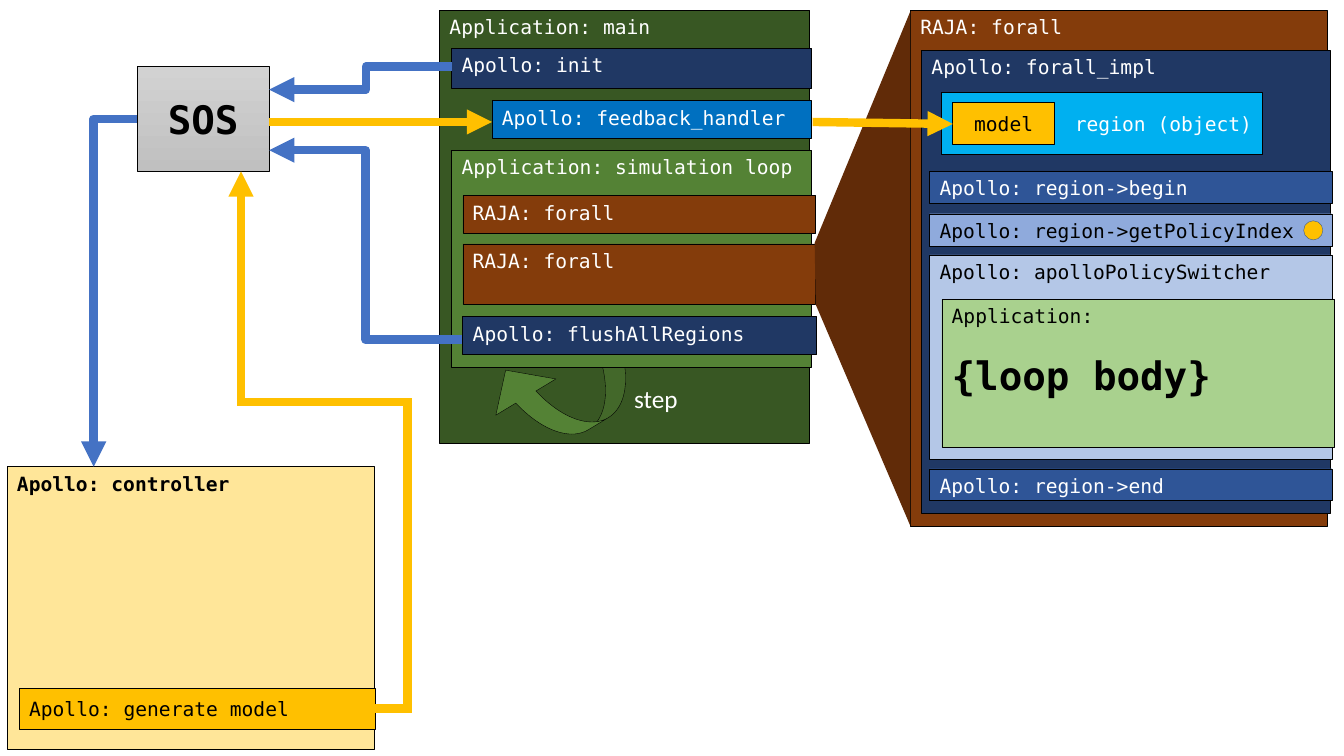
from lxml.etree import SubElement
from pptx import Presentation
from pptx.dml.color import RGBColor
from pptx.enum.shapes import MSO_CONNECTOR, MSO_SHAPE
from pptx.enum.text import MSO_ANCHOR, PP_ALIGN
from pptx.oxml.ns import qn
from pptx.util import Inches, Pt

MONO = "DejaVu Sans Mono"
BLACK, WHITE = "000000", "FFFFFF"
NAVY, BLUE, BROWN, GREEN, GOLD = "203864", "2F5597", "843C0B", "548235", "FFC000"
ARROW_BLUE = "4472C4"


def color(value):
    """Turn a hex string into a colour."""
    return RGBColor.from_string(value)


def add_run(paragraph, text, ink, size=14, bold=False, font=MONO):
    """Append one formatted run."""
    run = paragraph.add_run()
    run.text = text
    run.font.name, run.font.size, run.font.bold = font, Pt(size), bold
    run.font.color.rgb = color(ink)


def add_figure(slide, kind, box, fill, line_width=0.25, line=BLACK):
    """Draw a filled preset shape in box (left, top, width, height)."""
    shape = slide.shapes.add_shape(kind, *map(Inches, box))
    shape.shadow.inherit = False
    shape.fill.solid()
    shape.fill.fore_color.rgb = color(fill)
    shape.line.color.rgb = color(line)
    shape.line.width = Pt(line_width)
    return shape


def add_block(slide, box, fill, text, ink=WHITE, line_width=0.25, size=14,
              bold=False, align=PP_ALIGN.LEFT, anchor=MSO_ANCHOR.TOP):
    """Draw a labelled rectangle."""
    shape = add_figure(slide, MSO_SHAPE.RECTANGLE, box, fill, line_width)
    shape.text_frame.word_wrap = True
    shape.text_frame.vertical_anchor = anchor
    paragraph = shape.text_frame.paragraphs[0]
    paragraph.alignment = align
    add_run(paragraph, text, ink, size, bold)
    return shape


def add_flow(slide, start, end, ink, preset=None, bend=None, arrow=True):
    """Draw a thick straight or bent connector from start to end."""
    kind = MSO_CONNECTOR.ELBOW if preset else MSO_CONNECTOR.STRAIGHT
    connector = slide.shapes.add_connector(kind, *map(Inches, start + end))
    connector.line.color.rgb = color(ink)
    connector.line.width = Pt(6)
    properties = connector._element.spPr
    if preset:
        geometry = properties.find(qn("a:prstGeom"))
        geometry.set("prst", preset)
        if bend:
            SubElement(geometry.find(qn("a:avLst")), qn("a:gd"), name="adj1",
                       fmla=f"val {round(bend * 100000)}")
    if arrow:
        SubElement(properties.find(qn("a:ln")), qn("a:tailEnd"), type="triangle")
    SubElement(properties, qn("a:effectLst"))


def add_application(slide, left, top, width, height):
    """Draw the application's main program with its simulation loop."""
    def at(x, y, w, h):
        return left + x, top + y, w, h

    add_block(slide, (left, top, width, height), "385723", "Application: main", line_width=0.5)
    step_arrow = add_figure(slide, MSO_SHAPE.CURVED_DOWN_ARROW, at(0.49, 3.3, 1.49, 0.93), GREEN)
    step_arrow.rotation = 148.9
    for index, value in enumerate((0.25, 0.748, 0.357)):
        step_arrow.adjustments[index] = value
    for box, fill, text, line_width in (
            (at(0.12, 1.39, 3.57, 2.15), GREEN, "Application: simulation loop", 0.5),
            (at(0.23, 3.04, 3.51, 0.38), NAVY, "Apollo: flushAllRegions", 0.5),
            (at(0.12, 0.38, 3.57, 0.4), NAVY, "Apollo: init", 0.5),
            (at(0.23, 1.84, 3.5, 0.37), BROWN, "RAJA: forall", 0.25),
            (at(0.23, 2.32, 3.5, 0.6), BROWN, "RAJA: forall", 0.25),
            (at(0.52, 0.9, 3.17, 0.37), "0070C0", "Apollo: feedback_handler", 0.5)):
        add_block(slide, box, fill, text, line_width=line_width)
    label = slide.shapes.add_textbox(*map(Inches, at(1.83, 3.65, 0.64, 0.4)))
    label.text_frame.word_wrap = False
    add_run(label.text_frame.paragraphs[0], "step", WHITE, 18, font="Calibri")


def add_forall(slide, left, top, width, height):
    """Draw the expanded forall with its region, policy and loop body."""
    def at(x, y, w, h):
        return left + x, top + y, w, h

    add_block(slide, (left, top, width, height), BROWN, "RAJA: forall")
    add_block(slide, at(0.11, 0.4, 4.05, 4.59), NAVY, "Apollo: forall_impl")
    for y, h, fill, text, ink in (
            (1.6, 0.32, BLUE, "Apollo: region->begin", WHITE),
            (2.02, 0.32, "8FAADC", "Apollo: region->getPolicyIndex", BLACK),
            (2.43, 2.03, "B4C7E7", "Apollo: apolloPolicySwitcher", BLACK),
            (4.55, 0.31, BLUE, "Apollo: region->end", WHITE)):
        add_block(slide, at(0.19, y, 3.99, h), fill, text, ink)
    body = add_block(slide, at(0.31, 2.87, 3.89, 1.47), "A9D18E", "Application:", BLACK)
    paragraph = body.text_frame.add_paragraph()
    paragraph.alignment = PP_ALIGN.LEFT
    paragraph.space_before = Pt(17)
    add_run(paragraph, "{loop body}", BLACK, 28, True)
    add_block(slide, at(0.31, 0.82, 3.18, 0.61), "00B0F0", "region (object)", line_width=0.5,
              align=PP_ALIGN.RIGHT, anchor=MSO_ANCHOR.MIDDLE)
    add_block(slide, at(0.42, 0.92, 1.01, 0.41), GOLD, "model", BLACK, 0.5,
              align=PP_ALIGN.CENTER, anchor=MSO_ANCHOR.MIDDLE)
    add_figure(slide, MSO_SHAPE.OVAL, at(3.9, 2.09, 0.19, 0.19), GOLD, line="325491")


def add_expansion(slide, left, top, width, height):
    """Draw the wedge that opens the small forall into the large one."""
    right = left + width
    corners = ((right, top), (right, top + height),
               (left + 0.01, top + 2.91), (left, top + 2.3))
    builder = slide.shapes.build_freeform(Inches(left), Inches(top + 2.3), scale=1.0)
    builder.add_line_segments([(Inches(x), Inches(y)) for x, y in corners], close=True)
    wedge = builder.convert_to_shape()
    wedge.shadow.inherit = False
    wedge.fill.solid()
    wedge.fill.fore_color.rgb = color("612B08")
    wedge.line.fill.background()


def add_service(slide, box):
    """Draw the SOS box with its grey gradient."""
    shape = add_block(slide, box, "C8C8C8", "SOS", BLACK, 0.5, 28, True,
                      PP_ALIGN.CENTER, MSO_ANCHOR.MIDDLE)
    shape.fill.gradient()
    shape.fill.gradient_angle = 270
    for stop, shade in zip(shape.fill.gradient_stops, ("D2D2D2", "C0C0C0")):
        stop.color.rgb = color(shade)


def add_controller(slide, left, top, width, height):
    """Draw the controller and its model generator."""
    add_block(slide, (left, top, width, height), "FFE699", "Apollo: controller", BLACK, 0.5,
              bold=True)
    add_block(slide, (left + 0.12, top + 2.2, 3.53, 0.41), GOLD, "Apollo: generate model",
              BLACK, 0.5, anchor=MSO_ANCHOR.MIDDLE)


def add_flows(slide):
    """Connect the regions: blue carries data, gold carries models."""
    add_flow(slide, (4.48, 0.66), (2.67, 0.89), ARROW_BLUE, "bentConnector3", 0.47)
    add_flow(slide, (4.58, 3.37), (2.67, 1.49), ARROW_BLUE, "bentConnector3", 0.5)
    add_flow(slide, (1.36, 1.18), (0.93, 4.63), ARROW_BLUE, "bentConnector2")
    for start, end, arrow in (
            ((2.67, 1.21), (4.88, 1.21), True),
            ((8.06, 1.21), (9.45, 1.23), True),
            ((2.39, 3.99), (2.39, 1.7), True),
            ((2.35, 3.99), (4.04, 3.99), False),
            ((4.04, 3.95), (4.04, 7.07), False),
            ((3.72, 7.03), (4.04, 7.03), False)):
        add_flow(slide, start, end, GOLD, arrow=arrow)


presentation = Presentation()
presentation.slide_width, presentation.slide_height = Inches(13.33), Inches(7.5)
slide = presentation.slides.add_slide(presentation.slide_layouts[6])
add_application(slide, 4.36, 0.1, 3.67, 4.3)
add_forall(slide, 9.03, 0.1, 4.13, 5.12)
add_expansion(slide, 8.08, 0.11, 0.95, 5.11)
add_service(slide, (1.36, 0.66, 1.31, 1.04))
add_controller(slide, 0.07, 4.63, 3.64, 2.8)
add_flows(slide)
presentation.save("out.pptx")
